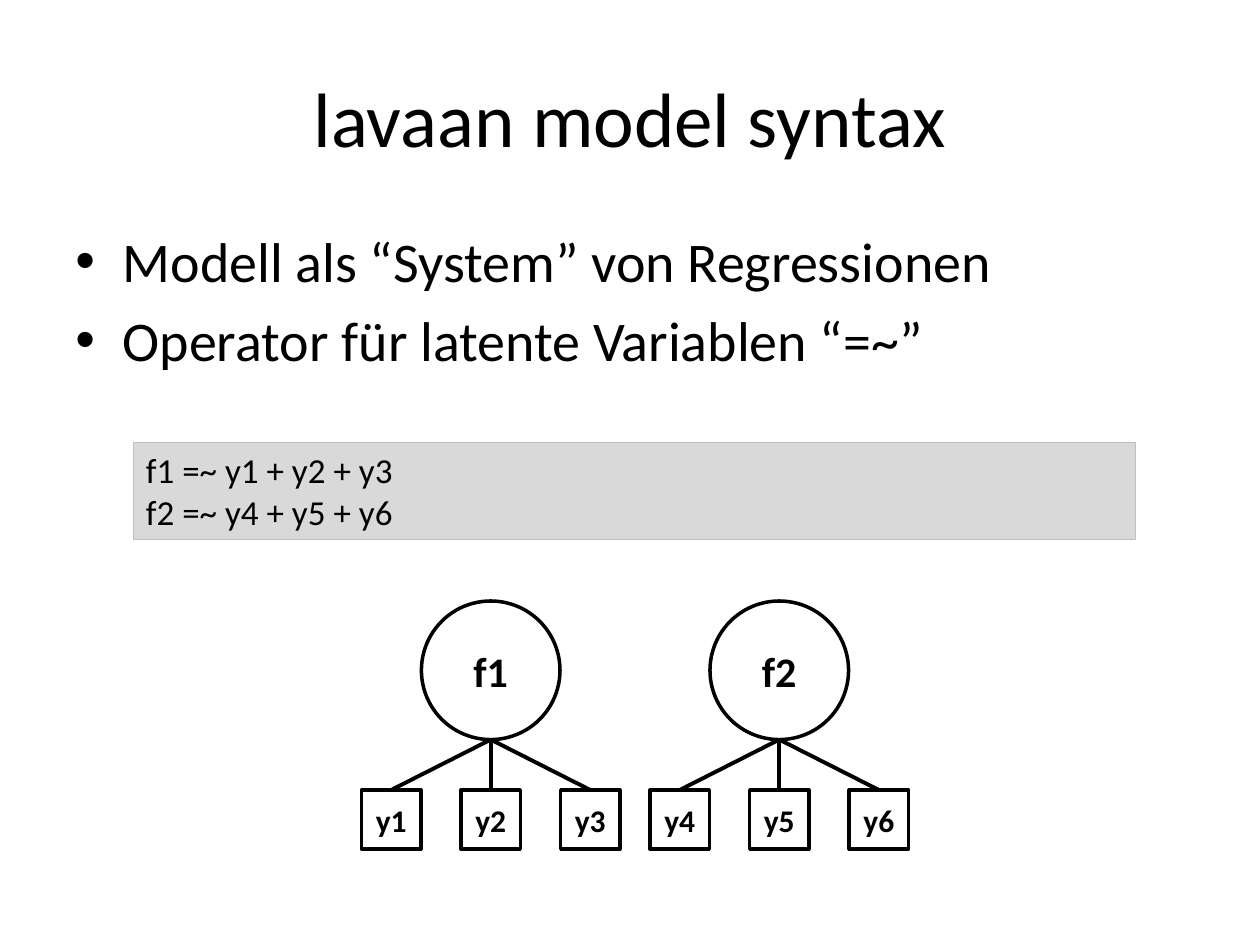
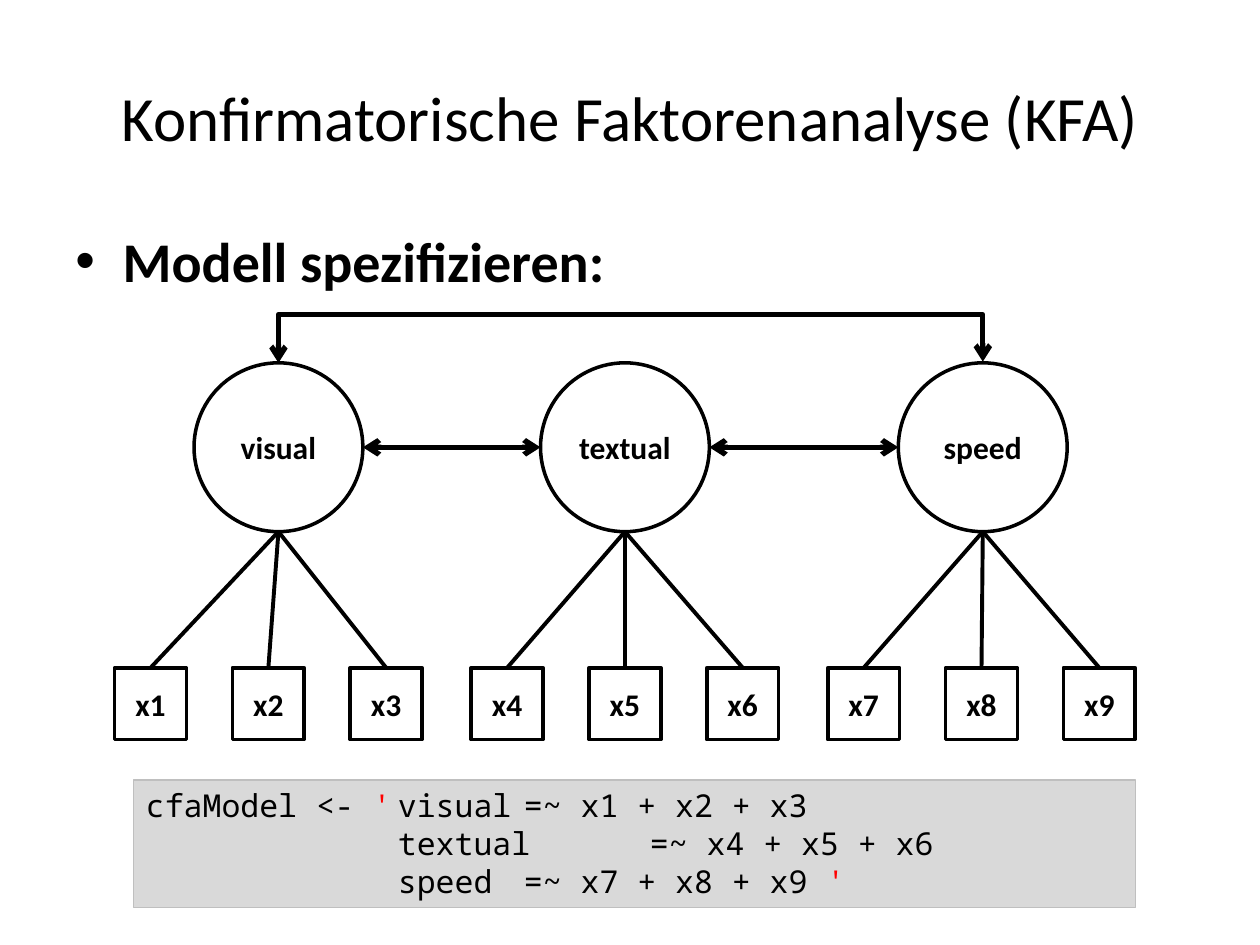
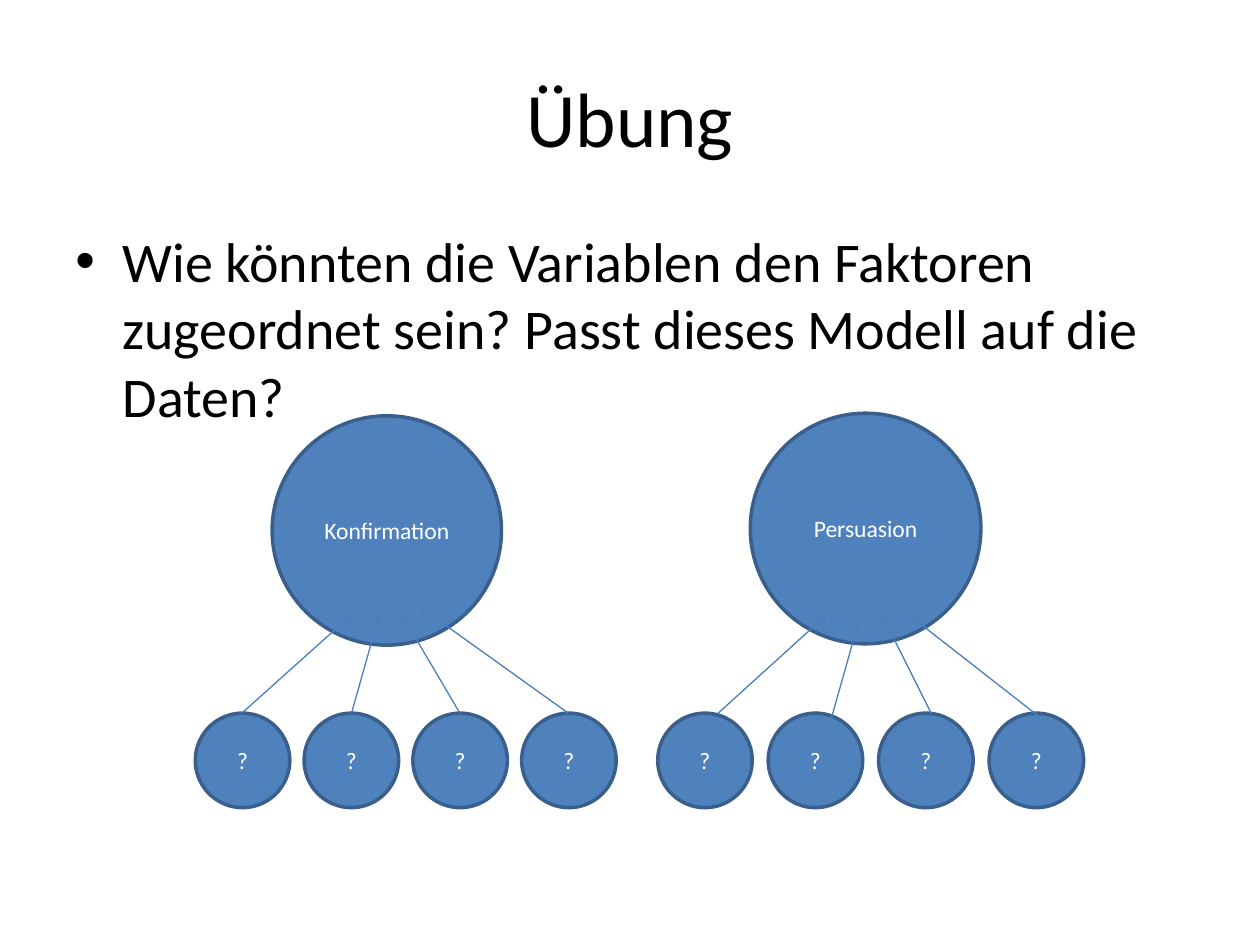
from dataclasses import dataclass

from lxml import etree
from pptx import Presentation
from pptx.dml.color import RGBColor
from pptx.enum.shapes import MSO_CONNECTOR as Connector, MSO_SHAPE as Shape
from pptx.enum.text import MSO_ANCHOR as Anchor, MSO_AUTO_SIZE as AutoSize, PP_ALIGN as Align
from pptx.oxml.ns import qn
from pptx.util import Inches, Pt

BLACK = RGBColor(0x00, 0x00, 0x00)
WHITE = RGBColor(0xFF, 0xFF, 0xFF)
RED = RGBColor(0xFF, 0x00, 0x00)
CODE_FILL = RGBColor(0xD9, 0xD9, 0xD9)
CODE_LINE = RGBColor(0xBF, 0xBF, 0xBF)
BLUE = RGBColor(0x4F, 0x81, 0xBD)
BLUE_EDGE = RGBColor(0x3A, 0x5F, 0x8C)
BLUE_ARROW = RGBColor(0x4B, 0x7E, 0xBC)
SANS = "Calibri"
MONO = "Noto Sans Mono"
BULLET_INDENT = Pt(27)
TAB_WIDTH = Inches(1)


@dataclass
class NodeStyle:
    fill: RGBColor
    edge: RGBColor
    text: RGBColor
    bold: bool
    factor_points: float
    item_points: float
    item_shape: Shape


LARGE_OUTLINE = NodeStyle(WHITE, BLACK, BLACK, True, 24, 18, Shape.RECTANGLE)
OUTLINE = NodeStyle(WHITE, BLACK, BLACK, True, 18, 18, Shape.RECTANGLE)
SOLID = NodeStyle(BLUE, BLUE_EDGE, WHITE, False, 13.5, 13.5, Shape.OVAL)


def format_run(run, points, color=BLACK, bold=False, name=SANS):
    run.font.size = Pt(points)
    run.font.name = name
    run.font.bold = bold
    run.font.color.rgb = color


def add_title_slide(presentation, title, points=44):
    slide = presentation.slides.add_slide(presentation.slide_layouts[5])
    shape = slide.shapes.title
    shape.left, shape.top = Inches(0.5), Inches(0.3)
    shape.width, shape.height = Inches(9), Inches(1.25)
    frame = shape.text_frame
    frame.text = title
    frame.vertical_anchor = Anchor.MIDDLE
    paragraph = frame.paragraphs[0]
    paragraph.alignment = Align.CENTER
    format_run(paragraph.runs[0], points)
    return slide


def add_bullets(slide, box, lines, bold=False):
    frame = slide.shapes.add_textbox(*map(Inches, box)).text_frame
    frame.word_wrap = True
    frame.text = "\n".join(lines)
    for paragraph in frame.paragraphs:
        paragraph.space_before = Pt(6.4)
        format_run(paragraph.runs[0], 32, bold=bold)
        properties = paragraph._p.get_or_add_pPr()
        properties.set("marL", str(BULLET_INDENT))
        properties.set("indent", str(-BULLET_INDENT))
        etree.SubElement(properties, qn("a:buFont"), typeface="Arial")
        etree.SubElement(properties, qn("a:buChar"), char="•")


def add_shape(slide, kind, box, fill, edge, line_points):
    shape = slide.shapes.add_shape(kind, *map(Inches, box))
    shape.shadow.inherit = False
    shape.fill.solid()
    shape.fill.fore_color.rgb = fill
    shape.line.color.rgb = edge
    shape.line.width = Pt(line_points)
    return shape


def add_code(slide, box, lines, points, name):
    frame = add_shape(slide, Shape.RECTANGLE, box, CODE_FILL, CODE_LINE, 0.75).text_frame
    frame.word_wrap = True
    frame.auto_size = AutoSize.SHAPE_TO_FIT_TEXT
    frame.vertical_anchor = Anchor.TOP
    for index, pieces in enumerate(lines):
        paragraph = frame.add_paragraph() if index else frame.paragraphs[0]
        paragraph.alignment = Align.LEFT
        paragraph._p.get_or_add_pPr().set("defTabSz", str(TAB_WIDTH))
        for text, color in pieces:
            run = paragraph.add_run()
            run.text = text
            format_run(run, points, color, name=name)


def add_node(slide, kind, box, text, points, style):
    frame = add_shape(slide, kind, box, style.fill, style.edge, 2).text_frame
    frame.margin_left = frame.margin_right = 0
    frame.word_wrap = False
    frame.vertical_anchor = Anchor.MIDDLE
    frame.text = text
    paragraph = frame.paragraphs[0]
    paragraph.alignment = Align.CENTER
    format_run(paragraph.runs[0], points, style.text, style.bold)


def add_line(slide, start, end, color, points, head=None, tail=None, kind=Connector.STRAIGHT):
    line = slide.shapes.add_connector(kind, *map(Inches, (*start, *end)))
    line.line.color.rgb = color
    line.line.width = Pt(points)
    for tag, arrow in (("a:headEnd", head), ("a:tailEnd", tail)):
        if arrow:
            etree.SubElement(line.line._get_or_add_ln(), qn(tag), type=arrow)
    etree.SubElement(line._element.spPr, qn("a:effectLst"))
    return line


def add_bracket(slide, left, right, top, bottom):
    depth = 0.01
    span = right - left
    line = add_line(slide, (left, bottom), (right, bottom), BLACK, 3, "arrow", "arrow", Connector.ELBOW)
    line.left = Inches((left + right - depth) / 2)
    line.top = Inches(bottom - (depth + span) / 2)
    line.width, line.height = Inches(depth), Inches(span)
    transform = line._element.spPr.find(qn("a:xfrm"))
    for key, value in (("rot", "16200000"), ("flipH", "0"), ("flipV", "0")):
        transform.set(key, value)
    geometry = line._element.spPr.find(qn("a:prstGeom"))
    guides = geometry.find(qn("a:avLst"))
    if guides is None:
        guides = etree.SubElement(geometry, qn("a:avLst"))
    ratio = round((bottom - top) / depth * 100000)
    etree.SubElement(guides, qn("a:gd"), name="adj1", fmla=f"val {ratio}")


def add_factor(slide, box, factor, items, factor_size, item_size, style, shift=0):
    left, top, width, height = box
    center = left + width / 2 + shift
    item_top = top + height - item_size
    pitch = (width - item_size) / (len(items) - 1)
    add_node(slide, Shape.OVAL, (center - factor_size / 2, top, factor_size, factor_size),
             factor, style.factor_points, style)
    item_centers = []
    for index, item in enumerate(items):
        item_left = left + index * pitch
        add_node(slide, style.item_shape, (item_left, item_top, item_size, item_size),
                 item, style.item_points, style)
        item_centers.append(item_left + item_size / 2)
    return center, top + factor_size, item_centers, item_top


def add_loadings(slide, center, bottom, item_centers, item_top):
    for item_center in item_centers:
        add_line(slide, (item_center, item_top), (center, bottom), BLACK, 2.25)


def build_syntax(presentation):
    slide = add_title_slide(presentation, "lavaan model syntax")
    add_bullets(slide, (0.5, 1.75, 9, 4.28),
                ["Modell als “System” von Regressionen", "Operator für latente Variablen “=~”"])
    add_code(slide, (1.06, 3.51, 7.95, 0.77),
             [[("f1 =~ y1 + y2 + y3", BLACK)], [("f2 =~ y4 + y5 + y6", BLACK)]], 20, SANS)
    for index in range(2):
        items = [f"y{3 * index + number}" for number in (1, 2, 3)]
        parts = add_factor(slide, (2.87 + 2.29 * index, 4.77, 2.05, 1.97), f"f{index + 1}",
                           items, 1.1, 0.47, LARGE_OUTLINE)
        add_loadings(slide, *parts)


def build_analysis(presentation):
    slide = add_title_slide(presentation, "Konfirmatorische Faktorenanalyse (KFA)", 36)
    add_bullets(slide, (0.5, 1.75, 9, 4.95), ["Modell spezifizieren:"], bold=True)
    size, top = 1.34, 2.88
    groups = (("visual", 0.91, 0.08), ("textual", 3.74, 0), ("speed", 6.57, 0.01))
    centers = []
    for index, (factor, left, shift) in enumerate(groups):
        items = [f"x{3 * index + number}" for number in (1, 2, 3)]
        parts = add_factor(slide, (left, top, 2.44, 2.99), factor, items, size, 0.57, OUTLINE, shift)
        add_loadings(slide, *parts)
        centers.append(parts[0])
    middle = top + size / 2
    for first, second in zip(centers, centers[1:]):
        add_line(slide, (first + size / 2, middle), (second - size / 2, middle),
                 BLACK, 3, "arrow", "arrow")
    add_bracket(slide, centers[0], centers[-1], 2.49, top)
    add_code(slide, (1.06, 6.19, 7.95, 1.01), [
        [("cfaModel <- ", BLACK), ("'\t", RED), ("visual\t=~ x1 + x2 + x3", BLACK)],
        [("\t\ttextual\t=~ x4 + x5 + x6", BLACK)],
        [("\t\tspeed \t=~ x7 + x8 + x9 ", BLACK), ("'", RED)],
    ], 18, MONO)


def build_exercise(presentation):
    slide = add_title_slide(presentation, "Übung")
    add_bullets(slide, (0.5, 1.75, 9, 4.95),
                ["Wie könnten die Variablen den Faktoren zugeordnet sein? "
                 "Passt dieses Modell auf die Daten?"])
    add_factor(slide, (1.55, 3.3, 3.34, 3.11), "Konfirmation", ["?"] * 4, 1.82, 0.75, SOLID, -0.15)
    add_factor(slide, (5.22, 3.28, 3.38, 3.13), "Persuasion", ["?"] * 4, 1.83, 0.75, SOLID, -0.04)
    arrows = (
        ((1.92, 5.66), (2.79, 4.88)), ((2.79, 5.66), (3.01, 4.88)),
        ((3.65, 5.66), (3.19, 4.88)), ((4.51, 5.66), (3.31, 4.8)),
        ((5.7, 5.66), (6.56, 4.88)), ((6.59, 5.73), (6.81, 4.95)),
        ((7.39, 5.66), (7, 4.88)), ((8.25, 5.69), (7.2, 4.87)),
    )
    for start, tip in arrows:
        add_line(slide, start, tip, BLUE_ARROW, 0.75, tail="triangle")


presentation = Presentation()
presentation.slide_width, presentation.slide_height = Inches(10), Inches(7.5)
build_syntax(presentation)
build_analysis(presentation)
build_exercise(presentation)
presentation.save("out.pptx")
